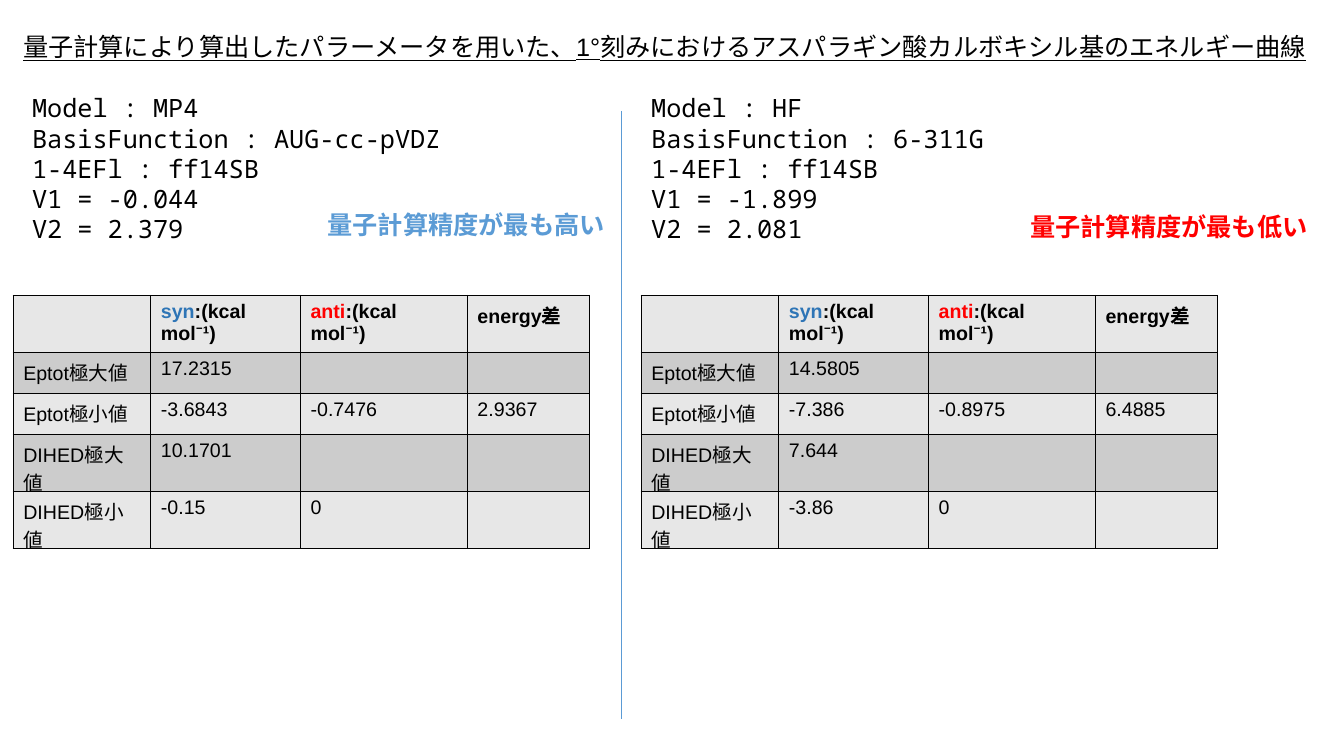
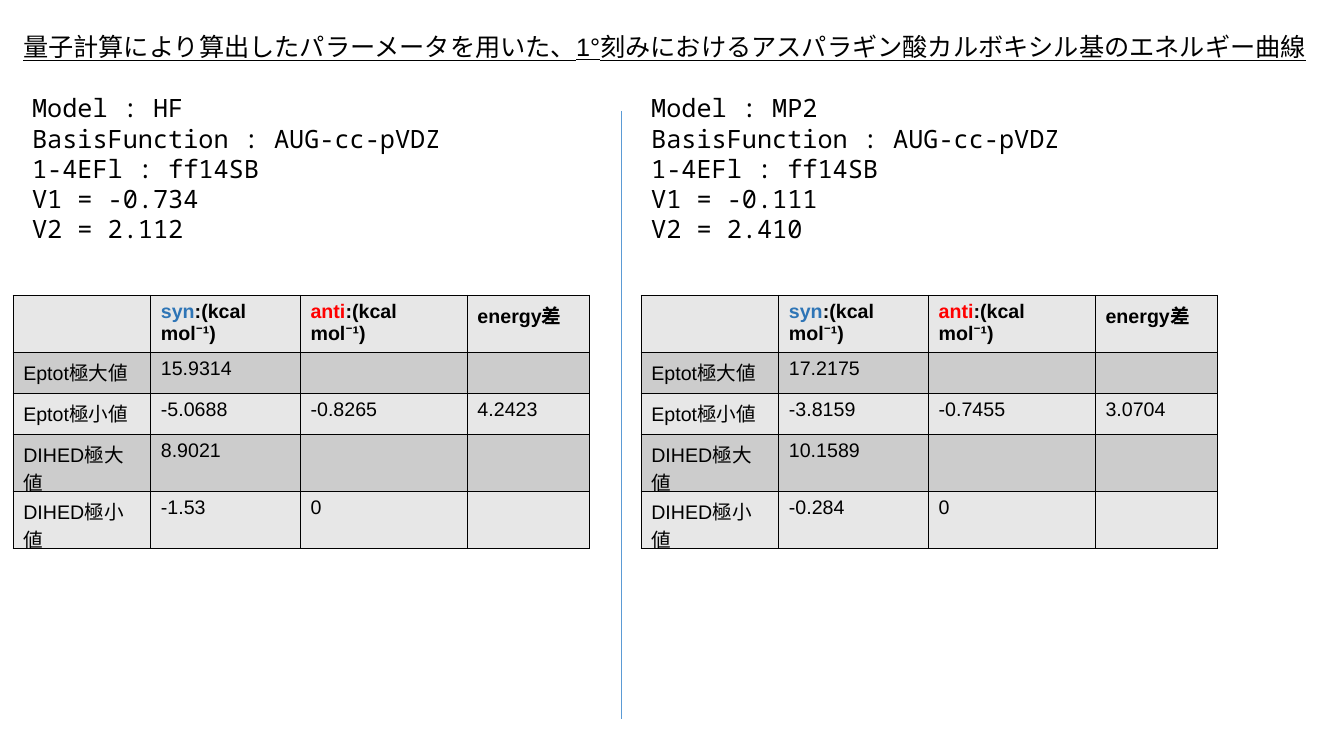
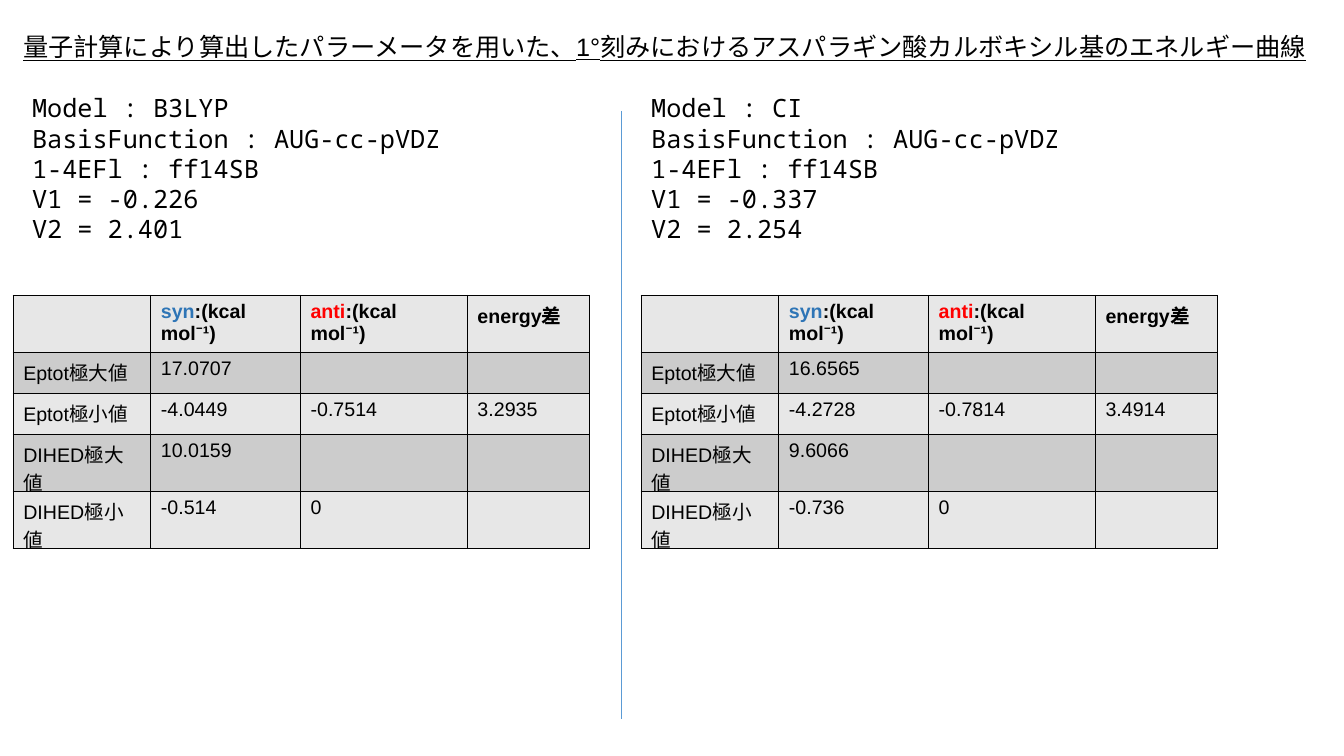
from dataclasses import dataclass
from typing import Optional

from lxml import etree
from pptx import Presentation
from pptx.dml.color import RGBColor
from pptx.enum.shapes import MSO_CONNECTOR
from pptx.enum.text import MSO_AUTO_SIZE
from pptx.oxml.ns import qn
from pptx.util import Emu, Inches, Pt

STRAIGHT = MSO_CONNECTOR.STRAIGHT
GROW = MSO_AUTO_SIZE.SHAPE_TO_FIT_TEXT
SLIDE_W, SLIDE_H = Inches(13.33), Inches(7.5)

BLACK, RED, BLUE, DARK_BLUE = "000000", "FF0000", "5B9BD5", "2E75B6"
LIGHT_ROW, DARK_ROW = "E7E7E7", "CCCCCC"
SANS, MONO = "Arial", "Noto Sans Mono"

TITLE = ("量子計算により算出したパラーメータを用いた、"
         "1°刻みにおけるアスパラギン酸カルボキシル基のエネルギー曲線")
UNIT = ":(kcal mol⁻¹)"
ROW_LABELS = ("Eptot極大値", "Eptot極小値", "DIHED極大値", "DIHED極小値")

# Positions and sizes are percentages of the slide's width or height.
TITLE_BOX = (0.98, 3.47, 99.62, 5.33)
DIVIDER_X, DIVIDER_TOP, DIVIDER_BOTTOM = 46.21, 14.67, 95.07
SETUP_TOP, SETUP_H = 11.6, 21.6
TABLE_TOP, ROW_H = 39.07, 5.41
COLUMN_WIDTHS = (10.24, 11.14, 12.42, 9.08)


@dataclass(frozen=True)
class Side:
    setup_x: float
    setup_w: float
    table_x: float


@dataclass(frozen=True)
class Remark:
    text: str
    color: str
    box: tuple[float, float, float, float]


@dataclass(frozen=True)
class Result:
    model: str
    basis: str
    v1: str
    v2: str
    eptot_max: str
    eptot_min: tuple[str, str, str]
    dihed_max: str
    dihed_min: str
    remark: Optional[Remark] = None


@dataclass(frozen=True)
class Span:
    text: str
    color: str = BLACK
    size: float = 18
    font: str = SANS
    bold: bool = False
    underline: bool = False


SIDES = (Side(1.65, 33.83, 0.98), Side(47.71, 50.04, 47.71))
AUG = "AUG-cc-pVDZ"
SLIDES = (
    (Result("MP4", AUG, "-0.044", "2.379", "17.2315",
            ("-3.6843", "-0.7476", "2.9367"), "10.1701", "-0.15",
            Remark("量子計算精度が最も高い", BLUE, (23.63, 27.07, 23.33, 5.33))),
     Result("HF", "6-311G", "-1.899", "2.081", "14.5805",
            ("-7.386", "-0.8975", "6.4885"), "7.644", "-3.86",
            Remark("量子計算精度が最も低い", RED, (75.92, 27.33, 22.51, 5.33)))),
    (Result("HF", AUG, "-0.734", "2.112", "15.9314",
            ("-5.0688", "-0.8265", "4.2423"), "8.9021", "-1.53"),
     Result("MP2", AUG, "-0.111", "2.410", "17.2175",
            ("-3.8159", "-0.7455", "3.0704"), "10.1589", "-0.284")),
    (Result("B3LYP", AUG, "-0.226", "2.401", "17.0707",
            ("-4.0449", "-0.7514", "3.2935"), "10.0159", "-0.514"),
     Result("CI", AUG, "-0.337", "2.254", "16.6565",
            ("-4.2728", "-0.7814", "3.4914"), "9.6066", "-0.736")),
)


def rgb(color: str) -> RGBColor:
    return RGBColor.from_string(color)


def across(percent: float) -> Emu:
    return Emu(round(SLIDE_W * percent / 100))


def down(percent: float) -> Emu:
    return Emu(round(SLIDE_H * percent / 100))


def write(paragraph, spans: list[Span]) -> None:
    for span in spans:
        run = paragraph.add_run()
        run.text = span.text
        formats = {"size": Pt(span.size), "name": span.font,
                   "bold": span.bold, "underline": span.underline}
        for attribute, value in formats.items():
            setattr(run.font, attribute, value)
        run.font.color.rgb = rgb(span.color)


def add_text(slide, box: tuple[float, float, float, float], lines: list[Span]) -> None:
    x, y, w, h = box
    frame = slide.shapes.add_textbox(across(x), down(y), across(w), down(h)).text_frame
    frame.word_wrap = True
    frame.auto_size = GROW
    for i, line in enumerate(lines):
        write(frame.add_paragraph() if i else frame.paragraphs[0], [line])


def add_divider(slide) -> None:
    x = across(DIVIDER_X)
    divider = slide.shapes.add_connector(
        STRAIGHT, x, down(DIVIDER_TOP), x, down(DIVIDER_BOTTOM))
    divider.line.color.rgb = rgb(BLUE)
    divider.line.width = Pt(0.5)
    etree.SubElement(divider._element.spPr, qn("a:effectLst"))


def style_cell(cell, fill: str) -> None:
    """Give the cell a 1 pt black border on each side and a plain fill."""
    properties = cell._tc.get_or_add_tcPr()
    for side in ("a:lnL", "a:lnR", "a:lnT", "a:lnB"):
        border = etree.SubElement(properties, qn(side), w=str(Pt(1)))
        solid = etree.SubElement(border, qn("a:solidFill"))
        etree.SubElement(solid, qn("a:srgbClr"), val=BLACK)
    cell.fill.solid()
    cell.fill.fore_color.rgb = rgb(fill)


def table_rows(result: Result) -> list[list[list[Span]]]:
    def head(text: str, color: str = BLACK) -> Span:
        return Span(text, color, size=14, bold=True)

    header = [[], [head("syn", DARK_BLUE), head(UNIT)],
              [head("anti", RED), head(UNIT)], [head("energy差")]]
    values = ((result.eptot_max, "", ""), result.eptot_min,
              (result.dihed_max, "", ""), (result.dihed_min, "0", ""))
    body = [[[Span(text, size=14)] if text else [] for text in (label, *row)]
            for label, row in zip(ROW_LABELS, values)]
    return [header, *body]


def add_energy_table(slide, x: float, result: Result) -> None:
    rows = table_rows(result)
    table = slide.shapes.add_table(
        len(rows), len(COLUMN_WIDTHS), across(x), down(TABLE_TOP),
        across(sum(COLUMN_WIDTHS)), down(ROW_H * len(rows))).table
    table.first_row = table.horz_banding = False
    for column, width in zip(table.columns, COLUMN_WIDTHS):
        column.width = across(width)
    for r, row in enumerate(rows):
        table.rows[r].height = down(ROW_H)
        for c, spans in enumerate(row):
            cell = table.cell(r, c)
            style_cell(cell, DARK_ROW if r % 2 else LIGHT_ROW)
            write(cell.text_frame.paragraphs[0], spans)


def add_result(slide, side: Side, result: Result) -> None:
    setup = (f"Model : {result.model}", f"BasisFunction : {result.basis}",
             "1-4EFl : ff14SB", f"V1 = {result.v1}", f"V2 = {result.v2}")
    add_text(slide, (side.setup_x, SETUP_TOP, side.setup_w, SETUP_H),
             [Span(line, font=MONO) for line in setup])
    if result.remark:
        remark = result.remark
        add_text(slide, remark.box, [Span(remark.text, remark.color, bold=True)])
    add_energy_table(slide, side.table_x, result)


def main() -> None:
    deck = Presentation()
    deck.slide_width, deck.slide_height = SLIDE_W, SLIDE_H
    blank = deck.slide_layouts[6]
    for results in SLIDES:
        slide = deck.slides.add_slide(blank)
        add_divider(slide)
        for side, result in zip(SIDES, results):
            add_result(slide, side, result)
        add_text(slide, TITLE_BOX, [Span(TITLE, underline=True)])
    deck.save("out.pptx")


if __name__ == "__main__":
    main()
